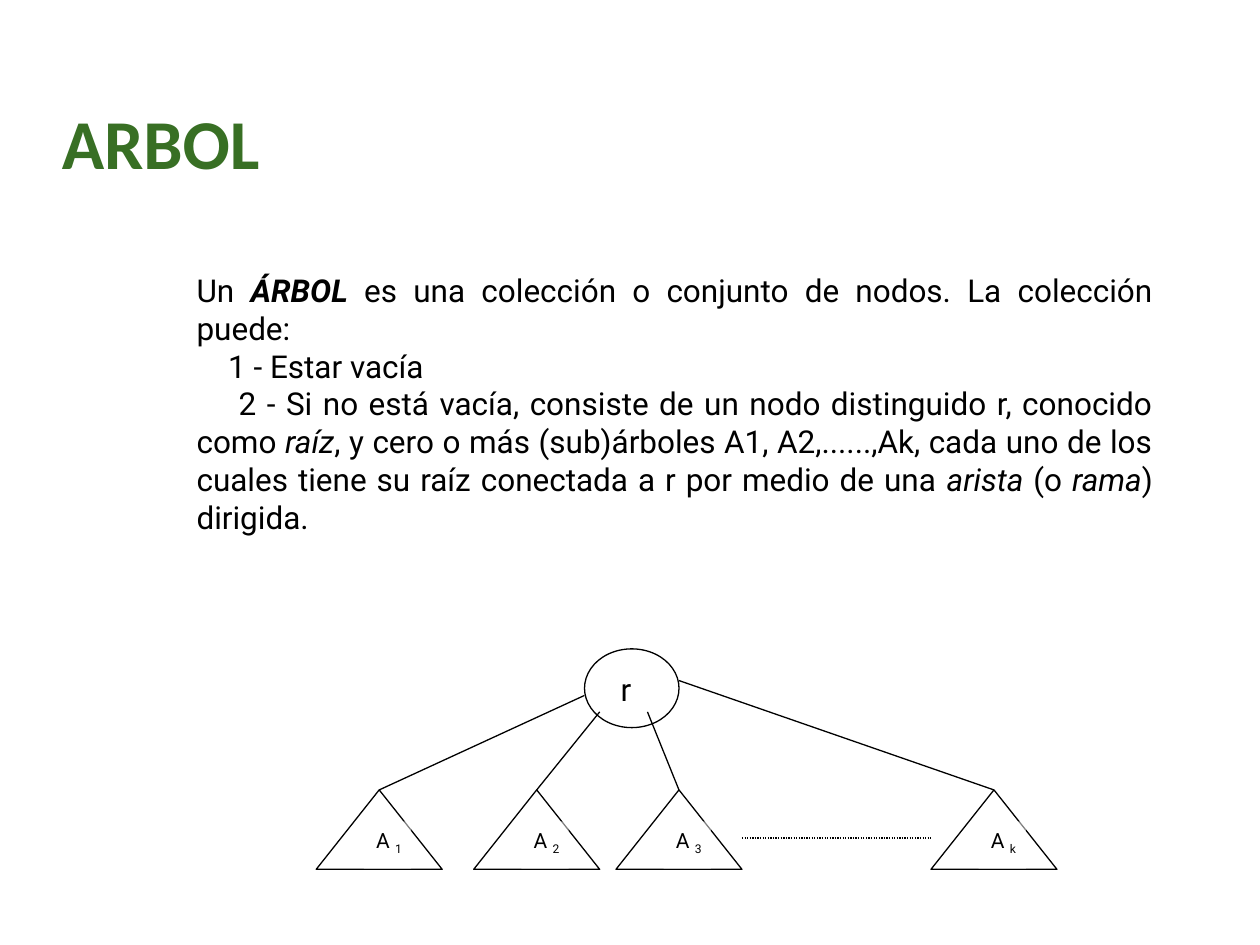
from pptx import Presentation
from pptx.dml.color import RGBColor
from pptx.enum.dml import MSO_LINE
from pptx.enum.shapes import MSO_CONNECTOR, MSO_SHAPE
from pptx.enum.text import MSO_ANCHOR, MSO_AUTO_SIZE, PP_ALIGN
from pptx.oxml.ns import qn
from pptx.util import Pt
from lxml import etree

LEFT, JUSTIFY = PP_ALIGN.LEFT, PP_ALIGN.JUSTIFY
TOP, NO_FIT = MSO_ANCHOR.TOP, MSO_AUTO_SIZE.NONE
OVAL, TRIANGLE = MSO_SHAPE.OVAL, MSO_SHAPE.ISOSCELES_TRIANGLE
STRAIGHT, DOTTED = MSO_CONNECTOR.STRAIGHT, MSO_LINE.ROUND_DOT
COLORS = {"title": "386F24", "ink": "000000", "paper": "FFFFFF"}


def add_run(p, text, size=18, font="Roboto", color="ink", bold=False,
            italic=False, baseline=None, spacing=None):
    r = p.add_run()
    r.text = text
    r.font.size, r.font.name = Pt(size), font
    r.font.bold, r.font.italic = bold, italic
    r.font.color.rgb = RGBColor.from_string(COLORS[color])
    for key, value in (("baseline", baseline), ("spc", spacing)):
        if value is not None:
            r.font._element.set(key, str(value))


def set_frame(sp, left, top, width, height, insets):
    sp.left, sp.top, sp.width, sp.height = Pt(left), Pt(top), Pt(width), Pt(height)
    tf = sp.text_frame
    tf.word_wrap, tf.auto_size, tf.vertical_anchor = True, NO_FIT, TOP
    tf.margin_left, tf.margin_top, tf.margin_right, tf.margin_bottom = map(Pt, insets)
    return tf


prs = Presentation()
prs.slide_width, prs.slide_height = Pt(720), Pt(540)
s = prs.slides.add_slide(prs.slide_layouts[1])

# Title
tf = set_frame(s.shapes.title, 35.3, 56.9, 650, 48.2, (0, 0, 0, 0))
p = tf.paragraphs[0]
p.alignment = LEFT
add_run(p, "ARBOL", size=40, font="Calibri", color="title", bold=True)

# Definition: first-line indent and runs of each paragraph
paragraphs = [
    (0, [("Un ", {}), ("ÁRBOL", {"bold": True, "italic": True}),
         (" es una colección o conjunto de nodos. La colección puede:", {})]),
    (18, [("1 - Estar vacía", {})]),
    (24, [("2 - Si no está vacía, consiste de un nodo distinguido r, conocido como ", {}),
          ("raíz", {"italic": True}),
          (", y cero o más (sub)árboles A1, A2,......,Ak, cada uno de los cuales "
           "tiene su raíz conectada a r por medio de una ", {}),
          ("arista", {"italic": True}), (" (o ", {}),
          ("rama", {"italic": True}), (") dirigida.", {})]),
]
tf = set_frame(s.placeholders[1], 105.1, 151.2, 560.9, 180, (7.2, 3.6, 7.2, 3.6))
for i, (indent, runs) in enumerate(paragraphs):
    p = tf.add_paragraph() if i else tf.paragraphs[0]
    p.alignment, p.space_before = JUSTIFY, Pt(0)
    pPr = p._p.get_or_add_pPr()
    pPr.set("marL", "0")
    pPr.set("indent", str(Pt(indent)))
    etree.SubElement(pPr, qn("a:buNone"))
    for text, style in runs:
        add_run(p, text, **style)

# Root node and subtree triangles
lefts = [180.7, 270.7, 352, 532]
outlines = [(OVAL, 334, 370.8, 54, 45)]
outlines += [(TRIANGLE, left, 451.4, 72, 45.4) for left in lefts]
nodes = []
for kind, *box in outlines:
    sp = s.shapes.add_shape(kind, *map(Pt, box))
    sp.shadow.inherit = False
    sp.fill.solid()
    sp.fill.fore_color.rgb = RGBColor.from_string(COLORS["paper"])
    sp.line.color.rgb = RGBColor.from_string(COLORS["ink"])
    sp.line.width = Pt(0.75)
    nodes.append(sp)

# Labels on half-transparent white
labels = [((342.7, 379.4, 36, 18), 12, [("r", {})])]
for left, index in zip(lefts, "123k"):
    labels.append(((left + 27.2, 469.4, 27, 27), 7.2,
                   [("A", {"size": 12, "spacing": 300}),
                    (index, {"size": 12, "baseline": -25000})]))
for box, inset, runs in labels:
    sp = s.shapes.add_textbox(0, 0, 0, 0)
    tf = set_frame(sp, *box, (inset, 3.6, 0, 3.6))
    sp.fill.solid()
    sp.fill.fore_color.rgb = RGBColor.from_string(COLORS["paper"])
    color = sp._element.spPr.find(qn("a:solidFill"))[0]
    etree.SubElement(color, qn("a:alpha"), val="50000")
    for text, style in runs:
        add_run(tf.paragraphs[0], text, **style)

# Branches from the root to each apex, then the dotted continuation
root_ends = [(334, 397.4), (342.7, 406.8), (370, 406.8), (388, 388.9)]
branches = [(left + 36, 451.4, *end) for left, end in zip(lefts, root_ends)]
dots = (lefts[2] + 72, 478.8, lefts[3], 478.8)
for i, ends in enumerate(branches + [dots]):
    line = s.shapes.add_connector(STRAIGHT, *map(Pt, ends))
    line.line.color.rgb = RGBColor.from_string(COLORS["ink"])
    line.line.width = Pt(0.75)
    if i < len(branches):
        line.begin_connect(nodes[i + 1], 0)
    else:
        line.line.dash_style = DOTTED
    etree.SubElement(line._element.spPr, qn("a:effectLst"))

prs.save("out.pptx")
